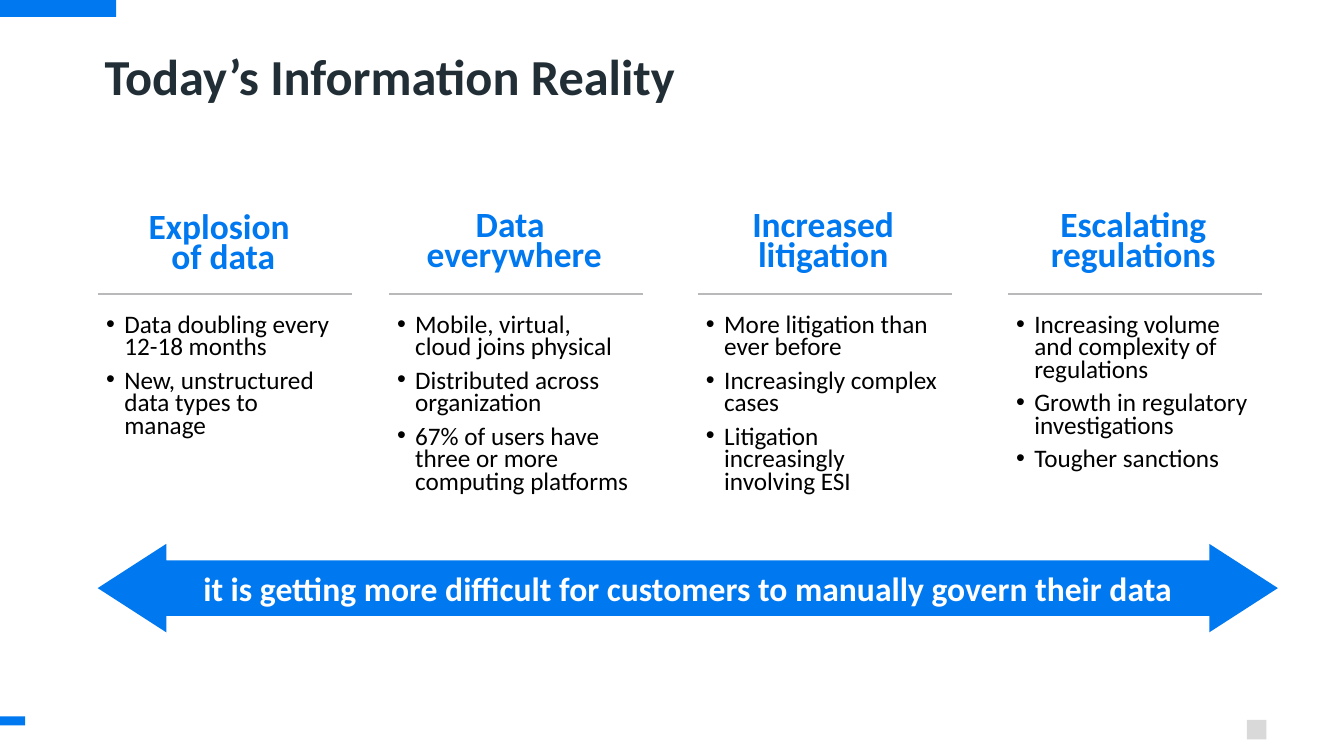
from pptx import Presentation
from pptx.dml.color import RGBColor
from pptx.enum import shapes, text
from pptx.oxml import xmlchemy
from pptx.util import Pt

HUES = {"blue": "0078EF", "ink": "212E35", "rule": "B9B8BB",
        "pale": "D9D9D9", "white": "FFFFFF", "black": "000000"}
KIND = shapes.MSO_SHAPE
TOP, MID = text.MSO_ANCHOR.TOP, text.MSO_ANCHOR.MIDDLE
LEFT, CENTER = text.PP_ALIGN.LEFT, text.PP_ALIGN.CENTER

# Left edge, corner size, heading lines, body height, points
COLUMNS = [
    (56.5, 0.073, ["Explosion ", "of data"], 96.5,
     ["Data doubling every 12-18 months",
      "New, unstructured data types to manage"]),
    (264.3, 0.048, ["Data ", "everywhere"], 168.5,
     ["Mobile, virtual, cloud joins physical",
      "Distributed across organization",
      "67% of users have three or more computing platforms"]),
    (485, 0.048, ["Increased litigation"], 137,
     ["More litigation than ever before",
      "Increasingly complex cases",
      "Litigation increasingly involving ESI"]),
    (706.5, 0.048, ["Escalating regulations"], 137,
     ["Increasing volume and complexity of regulations",
      "Growth in regulatory investigations",
      "Tougher sanctions"]),
]


def color(name):
    return RGBColor.from_string(HUES[name])


def add_block(slide, kind, box, fill, adjust=()):
    shape = slide.shapes.add_shape(kind, *map(Pt, box))
    shape.shadow.inherit = False
    shape.fill.solid()
    shape.fill.fore_color.rgb = color(fill)
    shape.line.fill.background()
    for i, value in enumerate(adjust):
        shape.adjustments[i] = value
    return shape


def add_rule(slide, left, top, width):
    line = slide.shapes.add_connector(
        shapes.MSO_CONNECTOR.STRAIGHT, Pt(left), Pt(top), Pt(left + width), Pt(top))
    line.line.color.rgb = color("rule")
    line.line.width = Pt(1)
    props = line._element.spPr
    props.append(xmlchemy.OxmlElement("a:effectLst"))


def add_bullet(para):
    props = para._p.get_or_add_pPr()
    props.set("marL", str(Pt(13)))
    props.set("indent", str(-Pt(13)))
    mark = xmlchemy.OxmlElement("a:buChar")
    mark.set("char", "•")
    font = xmlchemy.OxmlElement("a:buFont")
    font.set("typeface", "Arial")
    props.extend([font, mark])


def write(shape, lines, size, hue, bold=False, align=LEFT, anchor=TOP,
          inset=(7.2, 3.6, 7.2, 3.6), space=None, before=0, after=0,
          bullet=False, grow=False):
    frame = shape.text_frame
    frame.word_wrap = True
    frame.vertical_anchor = anchor
    if grow:
        frame.auto_size = text.MSO_AUTO_SIZE.SHAPE_TO_FIT_TEXT
    (frame.margin_left, frame.margin_top,
     frame.margin_right, frame.margin_bottom) = map(Pt, inset)
    for i, line in enumerate(lines):
        para = frame.add_paragraph() if i else frame.paragraphs[0]
        para.alignment = align
        para.line_spacing = space
        para.space_before, para.space_after = Pt(before), Pt(after)
        if bullet:
            add_bullet(para)
        run = para.add_run()
        run.text = line
        run.font.name, run.font.size, run.font.bold = "Calibri", Pt(size), bold
        run.font.color.rgb = color(hue)


def add_column(slide, left, corner, head, height, points):
    card = add_block(slide, KIND.ROUND_2_DIAG_RECTANGLE,
                     (left, 147, 206, 294.5), "white", (corner, 0))
    write(card, head, 25.3, "blue", bold=True, align=CENTER, space=Pt(21.3))
    add_rule(slide, left + 13.5, 210, 181.5)
    body = add_block(slide, KIND.RECTANGLE,
                     (left + 12.2, 222.2, 181.5, height), "white")
    write(body, points, 18, "black", space=Pt(16), before=8,
          bullet=True, grow=True)


def main():
    deck = Presentation()
    deck.slide_width, deck.slide_height = Pt(960), Pt(540)
    slide = deck.slides.add_slide(deck.slide_layouts[6])

    # Edge accents and corner mark
    add_block(slide, KIND.RECTANGLE, (0, 0, 83, 12.2), "blue")
    add_block(slide, KIND.RECTANGLE, (0, 511.7, 18, 6.5), "blue")
    add_block(slide, KIND.RECTANGLE, (890.6, 514.2, 14, 14), "pale")

    # Title
    title = slide.shapes.add_textbox(Pt(74.7), Pt(33.5), Pt(812), Pt(85))
    write(title, ["Today’s Information Reality"], 36, "ink", bold=True,
          inset=(0, 3.6, 7.2, 3.6), space=0.9)

    # Four trends
    for column in COLUMNS:
        add_column(slide, *column)

    # Conclusion arrow
    arrow = add_block(slide, KIND.LEFT_RIGHT_ARROW,
                      (69.8, 388.5, 843, 63.2), "blue", (0.627, 0.775))
    write(arrow, ["it is getting more difficult for customers to manually govern their data"],
          24, "white", bold=True, align=CENTER, anchor=MID,
          inset=(7.2, 0, 7.2, 0), after=5.3)

    deck.save("out.pptx")


if __name__ == "__main__":
    main()
